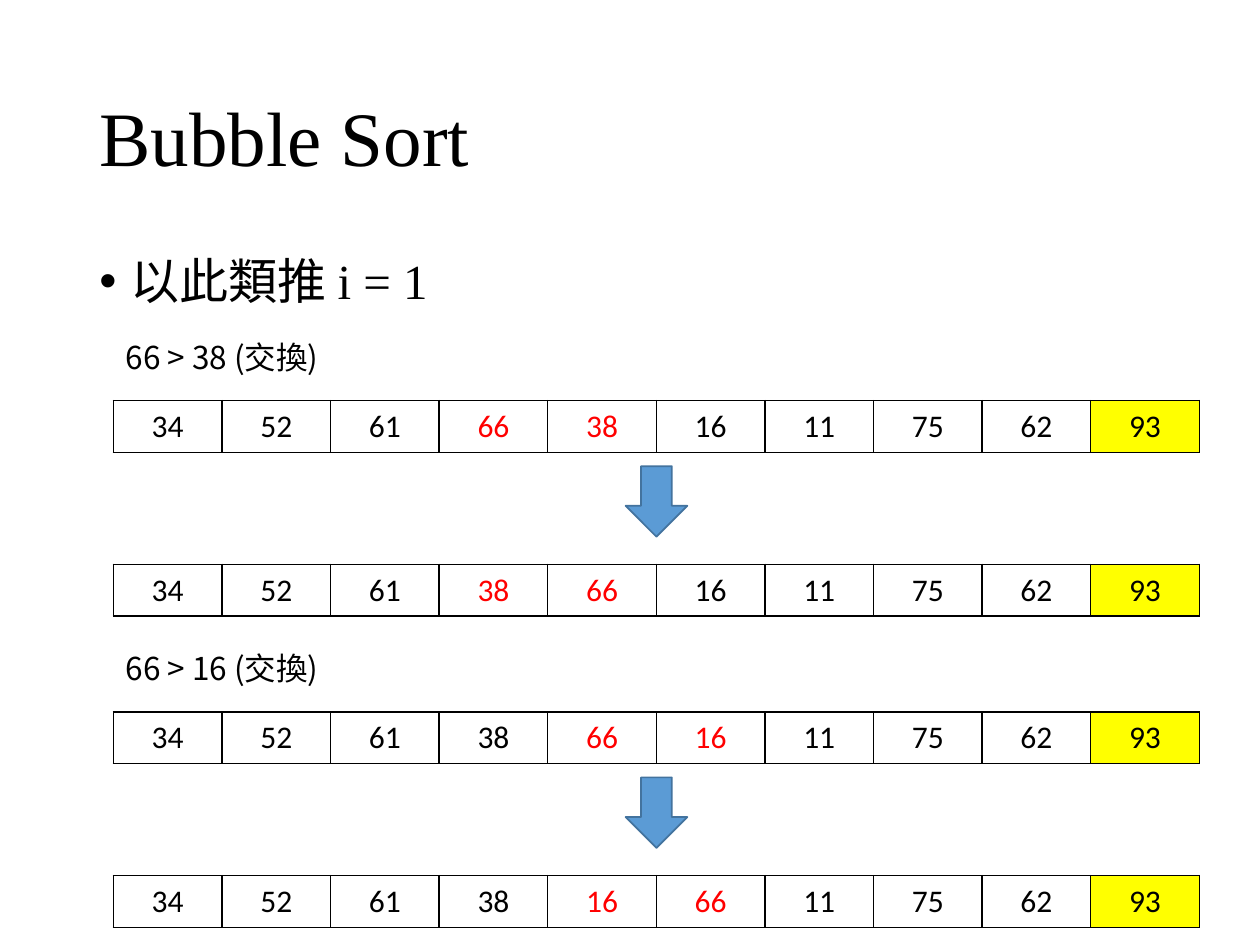
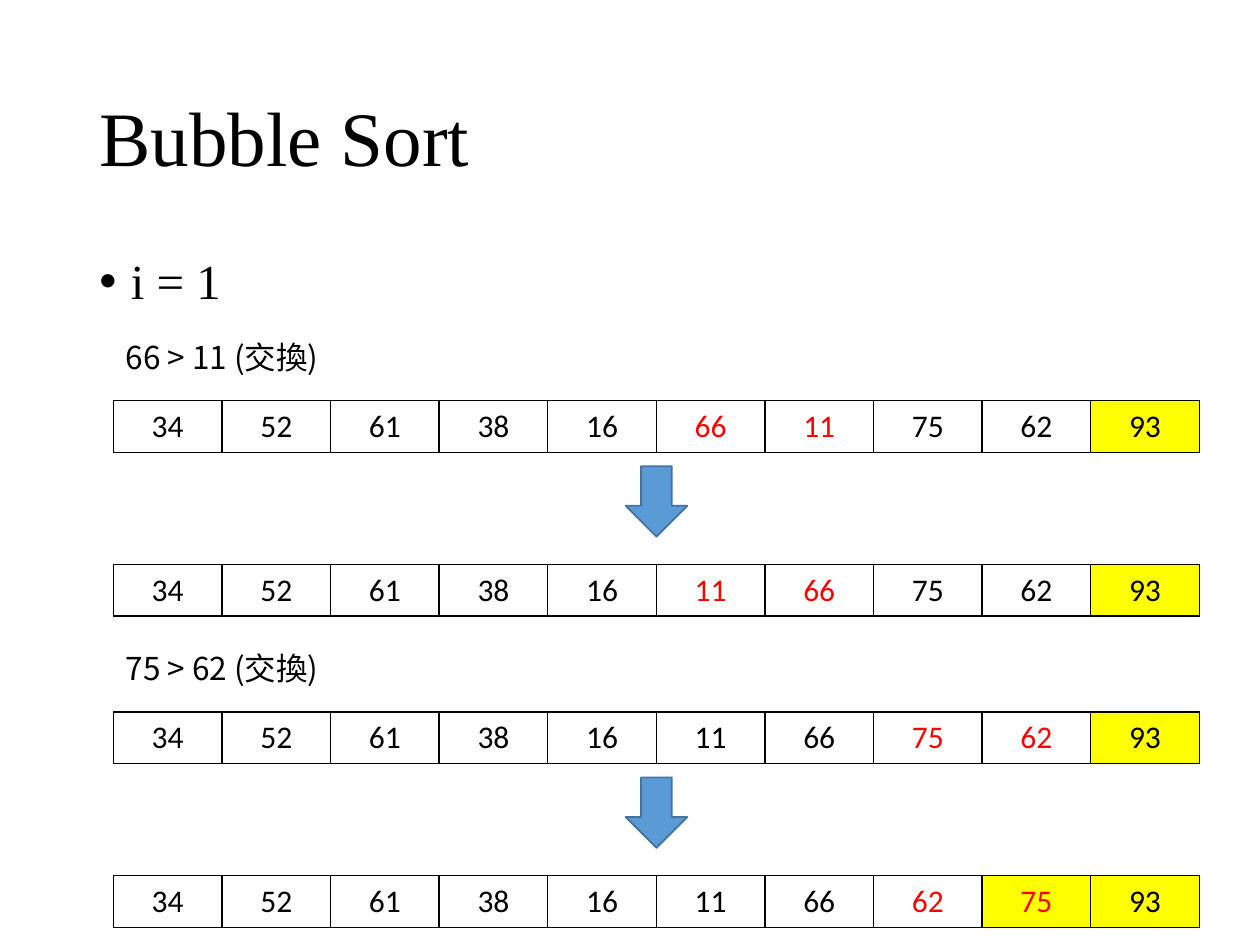
from dataclasses import dataclass

from lxml import etree
from pptx import Presentation
from pptx.dml.color import RGBColor
from pptx.enum.shapes import MSO_SHAPE
from pptx.enum.text import MSO_ANCHOR, MSO_AUTO_SIZE, PP_ALIGN
from pptx.oxml.ns import qn
from pptx.util import Inches, Pt

DOWN = MSO_SHAPE.DOWN_ARROW
MIDDLE = MSO_ANCHOR.MIDDLE
TOP = MSO_ANCHOR.TOP
GROW = MSO_AUTO_SIZE.SHAPE_TO_FIT_TEXT
CENTER = PP_ALIGN.CENTER

COLS, ROWS = 100, 75  # grid laid over the whole slide


@dataclass(frozen=True)
class Theme:
    ink: str = "000000"
    swap: str = "FF0000"
    done: str = "FFFF00"
    arrow: str = "5B9BD5"
    edge: str = "43739E"
    serif: str = "Times New Roman"
    sans: str = "Calibri"
    cjk: str = "Noto Sans CJK SC"
    title: int = 44
    body: int = 28
    small: int = 18
    rule: int = 1


class Deck:
    def __init__(self, theme):
        self.theme = theme
        self.prs = Presentation()
        self.prs.slide_width, self.prs.slide_height = Inches(10), Inches(7.5)
        self.slide = None

    def page(self):
        self.slide = self.prs.slides.add_slide(self.prs.slide_layouts[6])

    def box(self, col, row, wide, high):
        """Turn grid units into left, top, width and height."""
        x, y = self.prs.slide_width / COLS, self.prs.slide_height / ROWS
        return round(col * x), round(row * y), round(wide * x), round(high * y)

    def style(self, para, face, size, color=None):
        """Set one font for the paragraph, with its East Asian face."""
        font = para.font
        font.name, font.size = face, Pt(size)
        font.color.rgb = RGBColor.from_string(color or self.theme.ink)
        props = para._p.pPr.find(qn("a:defRPr"))
        etree.SubElement(props, qn("a:ea"), typeface=self.theme.cjk)

    def text(self, words, place, anchor=TOP, wrap=True):
        """Add a text box and return its frame and only paragraph."""
        frame = self.slide.shapes.add_textbox(*self.box(*place)).text_frame
        frame.word_wrap, frame.vertical_anchor = wrap, anchor
        frame.text = words
        return frame, frame.paragraphs[0]

    def title(self, words):
        para = self.text(words, (6.9, 4, 86.2, 14.5), MIDDLE)[1]
        para.line_spacing = 0.9
        self.style(para, self.theme.serif, self.theme.title)

    def bullet(self, words):
        para = self.text(words, (6.9, 19.9, 86.2, 47.6))[1]
        para.line_spacing, para.space_before = 0.9, Pt(10)
        props = para._p.get_or_add_pPr()
        indent = Inches(0.25)
        props.set("marL", str(indent))
        props.set("indent", str(-indent))
        etree.SubElement(props, qn("a:buFont"), typeface="Arial")
        etree.SubElement(props, qn("a:buChar"), char="•")
        self.style(para, self.theme.serif, self.theme.body)

    def label(self, words, col, row):
        frame, para = self.text(words, (col, row, 21, 4), wrap=False)
        frame.auto_size = GROW
        self.style(para, self.theme.cjk, self.theme.small)

    def border(self, cell):
        props = cell._tc.get_or_add_tcPr()
        for side in ("lnL", "lnR", "lnT", "lnB"):
            line = etree.SubElement(props, qn("a:" + side), w=str(Pt(self.theme.rule)))
            fill = etree.SubElement(line, qn("a:solidFill"))
            etree.SubElement(fill, qn("a:srgbClr"), val=self.theme.ink)

    def array(self, nums, pair, tail, place):
        """Draw nums with the swapped pair in red and the last tail cells filled."""
        look = self.theme
        table = self.slide.shapes.add_table(1, len(nums), *self.box(*place)).table
        table.first_row = table.horz_banding = False
        for i, num in enumerate(nums):
            cell = table.cell(0, i)
            cell.text, cell.vertical_anchor = str(num), MIDDLE
            para = cell.text_frame.paragraphs[0]
            para.alignment = CENTER
            color = look.swap if i in pair else look.ink
            self.style(para, look.sans, look.small, color)
            self.border(cell)
            if i >= len(nums) - tail:
                cell.fill.solid()
                cell.fill.fore_color.rgb = RGBColor.from_string(look.done)
            else:
                cell.fill.background()

    def arrow(self, place):
        look = self.theme
        shape = self.slide.shapes.add_shape(DOWN, *self.box(*place))
        shape.shadow.inherit = False
        shape.fill.solid()
        shape.fill.fore_color.rgb = RGBColor.from_string(look.arrow)
        shape.line.color.rgb = RGBColor.from_string(look.edge)
        shape.line.width = Pt(look.rule)


LEFT, WIDE, HIGH = 9, 86.2, 4.1
FIRST, PITCH = 26.3, 24.7
ARROW = 4.9


def step(deck, nums, at, tail, row):
    """Show the swap of nums[at] with its right neighbour; return the new state."""
    pair = (at, at + 1)
    deck.label(f"{nums[at]} > {nums[at + 1]} (交換)", LEFT, row)
    deck.array(nums, pair, tail, (LEFT, row + 5.5, WIDE, HIGH))
    nums = nums[:at] + [nums[at + 1], nums[at]] + nums[at + 2:]
    if at + 2 == len(nums) - tail:  # the pair has reached the sorted tail
        tail += 1
    deck.array(nums, pair, tail, (LEFT, row + 18.5, WIDE, HIGH))
    deck.arrow((LEFT + (WIDE - ARROW) / 2, row + 10.7, ARROW, 5.6))
    return nums, tail


def main():
    deck = Deck(Theme())
    nums, tail = [34, 52, 61, 66, 38, 16, 11, 75, 62, 93], 1
    for head, swaps in (("以此類推 i = 1", (3, 4)), ("i = 1", (5, 7))):
        deck.page()
        deck.title("Bubble Sort")
        deck.bullet(head)
        for k, at in enumerate(swaps):
            nums, tail = step(deck, nums, at, tail, FIRST + k * PITCH)
    deck.prs.save("out.pptx")


if __name__ == "__main__":
    main()
